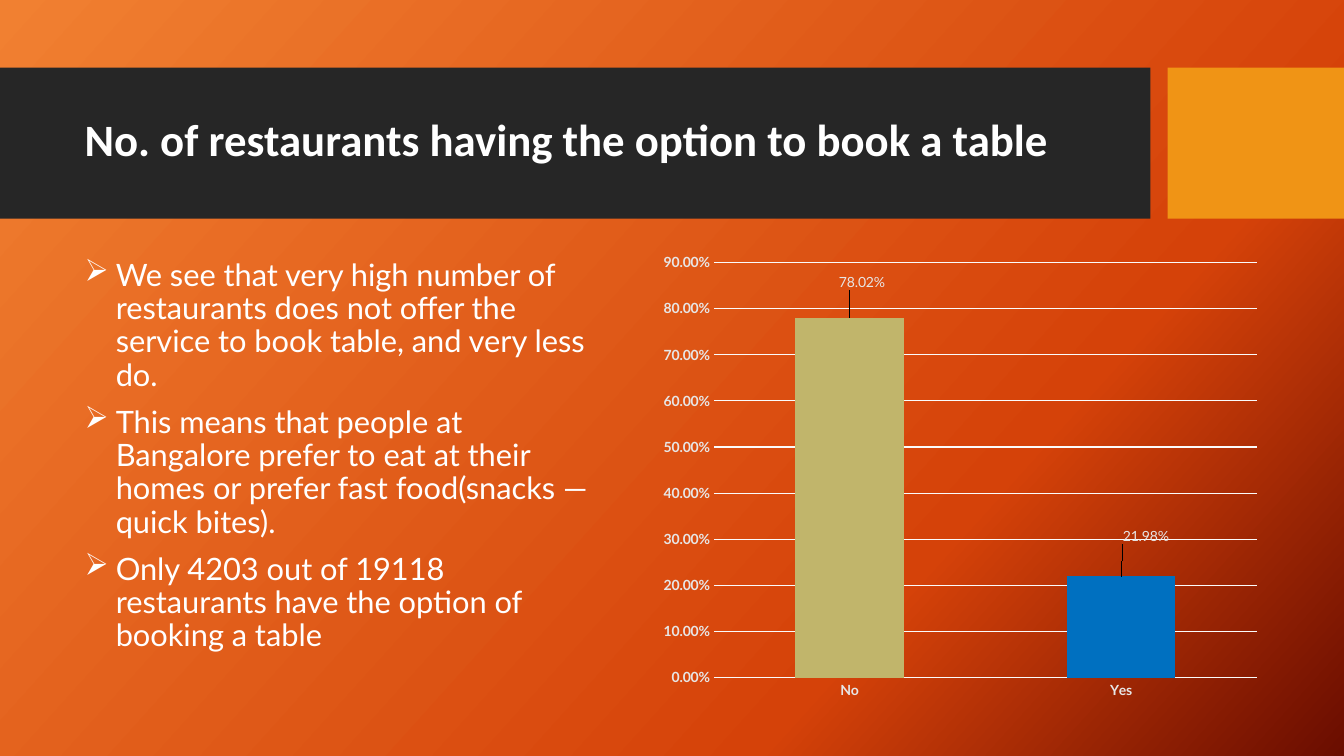
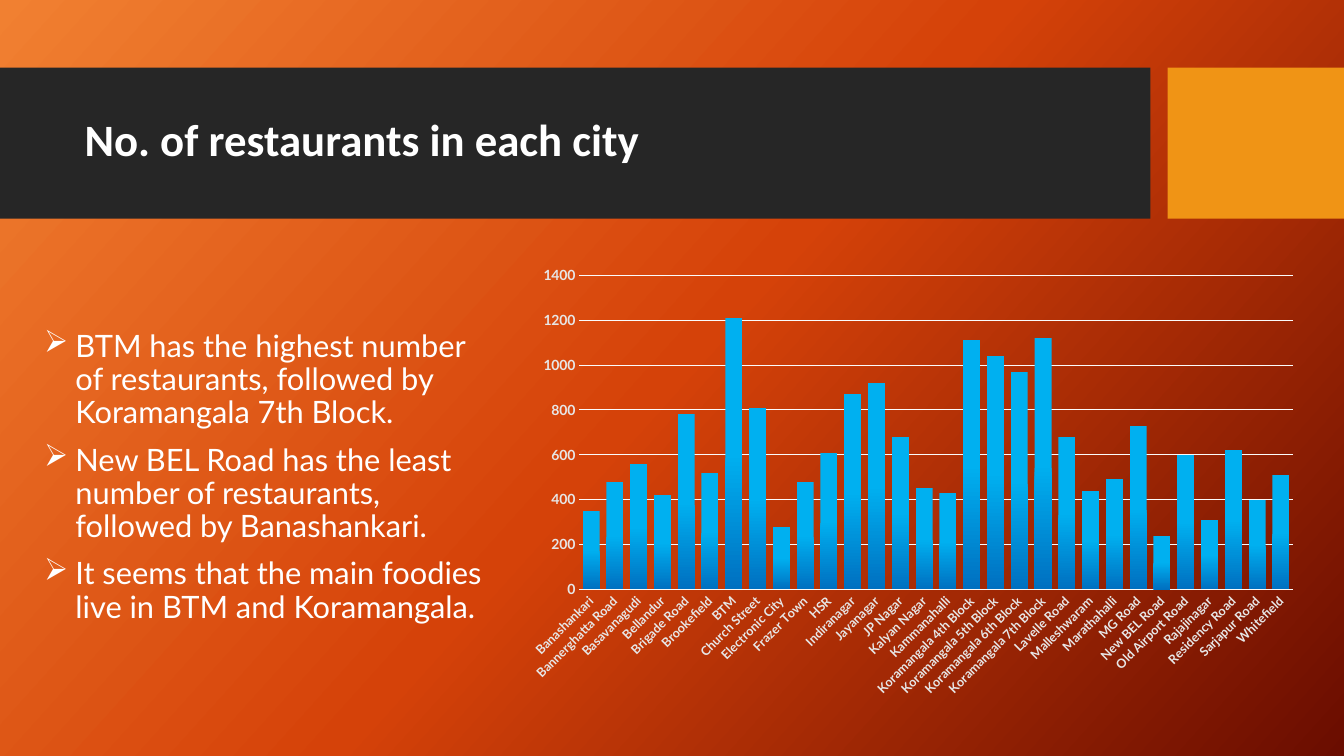
from pptx import Presentation
from pptx.chart.data import CategoryChartData
from pptx.dml.color import RGBColor
from pptx.enum.chart import XL_CHART_TYPE as ChartType, XL_LABEL_POSITION as LabelPos, XL_TICK_MARK as Tick
from pptx.enum.shapes import MSO_SHAPE as Shape
from pptx.enum.text import MSO_ANCHOR as Anchor
from pptx.oxml import parse_xml
from pptx.oxml.ns import nsdecls
from pptx.util import Inches, Pt

COLORS = {
    "band": "262626", "accent": "F09415", "text": "FFFFFF", "axis": "E7E6E6",
    "grid": "FBFBFB", "no": "C1B56B", "yes": "0070C0", "bar_light": "00B0F0",
    "bg_light": "F18031", "bg_mid": "D54209", "bg_dark": "6A0D00",
}
TITLE_FONT = {"name": "Calibri", "size": Pt(32), "bold": True}
BODY_FONT = {"name": "Lato", "size": Pt(22)}
CHART_FONT = {"name": "Lato", "size": Pt(10)}
AXIS_FONT = {**CHART_FONT, "bold": True}
LABEL_FONT = {**CHART_FONT, "bold": False}

BOOKING_POINTS = [
    "We see that very high number of restaurants does not offer the service to book table, and very less do.",
    "This means that people at Bangalore prefer to eat at their homes or prefer fast food(snacks — quick bites).",
    "Only 4203 out of 19118 restaurants have the option of booking a table",
]
BOOKING_SHARES = {"No": 0.7802, "Yes": 0.2198}
BOOKING_LABELS = [("no", 0.02, -0.05), ("yes", 0.04, -0.06)]

AREA_POINTS = [
    "BTM has the highest number of restaurants, followed by Koramangala 7th Block.",
    "New BEL Road has the least number of restaurants, followed by Banashankari.",
    "It seems that the main foodies live in BTM and Koramangala.",
]
AREA_COUNTS = {
    "Banashankari": 350, "Bannerghatta Road": 480, "Basavanagudi": 560,
    "Bellandur": 420, "Brigade Road": 780, "Brookefield": 520, "BTM": 1210,
    "Church Street": 810, "Electronic City": 280, "Frazer Town": 480,
    "HSR": 610, "Indiranagar": 870, "Jayanagar": 920, "JP Nagar": 680,
    "Kalyan Nagar": 450, "Kammanahalli": 430, "Koramangala 4th Block": 1110,
    "Koramangala 5th Block": 1040, "Koramangala 6th Block": 970,
    "Koramangala 7th Block": 1120, "Lavelle Road": 680, "Malleshwaram": 440,
    "Marathahalli": 490, "MG Road": 730, "New BEL Road": 240,
    "Old Airport Road": 600, "Rajajinagar": 310, "Residency Road": 620,
    "Sarjapur Road": 400, "Whitefield": 510,
}


def rgb(key):
    """Return the named colour."""
    return RGBColor.from_string(COLORS[key])


def box(*lengths):
    """Turn left, top, width and height in inches into lengths."""
    return [Inches(length) for length in lengths]


def set_font(font, values, color):
    """Apply format values and a named colour to a font."""
    for attribute, value in values.items():
        setattr(font, attribute, value)
    font.color.rgb = rgb(color)


def set_gradient(fill, owner, stops, angle):
    """Give the fill held by the owner element a linear gradient."""
    fill.solid()
    solid = owner.find(".//{*}solidFill")
    stop_xml = "".join(
        f'<a:gs pos="{percent * 1000}"><a:srgbClr val="{COLORS[key]}"/></a:gs>'
        for percent, key in stops
    )
    gradient = parse_xml(
        f'<a:gradFill {nsdecls("a")} rotWithShape="1"><a:gsLst>{stop_xml}</a:gsLst>'
        f'<a:lin ang="{angle * 60000}" scaled="0"/></a:gradFill>'
    )
    solid.getparent().replace(solid, gradient)


def add_band(slide, place, color):
    """Add a plain filled rectangle."""
    band = slide.shapes.add_shape(Shape.RECTANGLE, *box(*place))
    band.shadow.inherit = False
    band.fill.solid()
    band.fill.fore_color.rgb = rgb(color)
    band.line.fill.background()


def add_text(slide, place, lines, font, color="text"):
    """Add a vertically centred text box and return its paragraphs."""
    frame = slide.shapes.add_textbox(*box(*place)).text_frame
    frame.word_wrap = True
    frame.vertical_anchor = Anchor.MIDDLE
    for index, line in enumerate(lines):
        paragraph = frame.add_paragraph() if index else frame.paragraphs[0]
        paragraph.line_spacing = 0.9
        if index:
            paragraph.space_before = Pt(10)
        run = paragraph.add_run()
        run.text = line
        set_font(run.font, font, color)
    return frame.paragraphs


def add_bullets(slide, place, points):
    """Add the arrow-bulleted findings."""
    for paragraph in add_text(slide, place, points, BODY_FONT):
        properties = paragraph._p.get_or_add_pPr()
        properties.set("marL", str(Inches(0.31)))
        properties.set("indent", str(-Inches(0.31)))
        properties.append(parse_xml(f'<a:buChar {nsdecls("a")} char="➢"/>'))


def add_titled_slide(deck, title, middle_stop):
    """Add a slide with the shared background, bands and title."""
    slide = deck.slides.add_slide(deck.slide_layouts[6])
    stops = [(0, "bg_light"), (middle_stop, "bg_mid"), (100, "bg_dark")]
    set_gradient(slide.background.fill, slide.element, stops, 42)
    add_band(slide, (0, 0.67, 11.41, 1.5), "band")
    add_band(slide, (11.58, 0.67, 1.75, 1.5), "accent")
    add_text(slide, (0.74, 0.82, 10.51, 1.18), [title], TITLE_FONT)
    return slide


def set_grid_line(line):
    """Draw a thin light chart line."""
    line.width = Pt(0.75)
    line.color.rgb = rgb("grid")


def add_columns(slide, place, data, number_format, gap, top, step):
    """Add a single-series column chart and return it."""
    chart_data = CategoryChartData(number_format=number_format)
    chart_data.categories = list(data)
    chart_data.add_series("Series 1", list(data.values()))
    chart = slide.shapes.add_chart(ChartType.COLUMN_CLUSTERED, *box(*place), chart_data).chart
    set_font(chart.font, CHART_FONT, "text")
    chart.has_title = chart.has_legend = False
    chart.plots[0].gap_width = gap
    chart.plots[0].vary_by_categories = False

    categories, values = chart.category_axis, chart.value_axis
    for axis in (categories, values):
        axis.major_tick_mark = axis.minor_tick_mark = Tick.NONE
        set_font(axis.tick_labels.font, AXIS_FONT, "axis")
    set_grid_line(categories.format.line)
    set_grid_line(values.major_gridlines.format.line)
    values.format.line.fill.background()
    values.tick_labels.number_format = number_format
    values.tick_labels.number_format_is_linked = False
    scale = {"minimum_scale": 0, "maximum_scale": top, "major_unit": step}
    for attribute, value in scale.items():
        setattr(values, attribute, value)
    return chart


def style_point(point, color, shift_x, shift_y):
    """Colour a column and place its value label."""
    point.format.fill.solid()
    point.format.fill.fore_color.rgb = rgb(color)
    label = point.data_label
    set_font(label.font, LABEL_FONT, "axis")
    label.position = LabelPos.OUTSIDE_END
    label._get_or_add_dLbl().insert(1, parse_xml(
        f'<c:layout {nsdecls("c")}><c:manualLayout><c:x val="{shift_x}"/>'
        f'<c:y val="{shift_y}"/></c:manualLayout></c:layout>'
    ))


def build_booking_slide(deck):
    """Build the slide on table booking."""
    slide = add_titled_slide(deck, "No. of restaurants having the option to book a table", 71)
    chart = add_columns(slide, (6.46, 2.43, 6.13, 4.59), BOOKING_SHARES, "0.00%", 150, 0.9, 0.1)
    for index, label in enumerate(BOOKING_LABELS):
        style_point(chart.series[0].points[index], *label)
    add_bullets(slide, (0.74, 2.56, 5.33, 3.94), BOOKING_POINTS)


def build_area_slide(deck):
    """Build the slide on restaurants by area."""
    slide = add_titled_slide(deck, "No. of restaurants in each city", 50)
    chart = add_columns(slide, (5.12, 2.56, 7.86, 4.44), AREA_COUNTS, "General", 40, 1400, 200)
    counts = chart.series[0]
    set_gradient(counts.format.fill, counts._element, [(50, "bar_light"), (100, "yes")], 90)
    area_labels = chart.category_axis.tick_labels
    area_labels.font.size = Pt(9)
    chart.category_axis._element.find("{*}txPr/{*}bodyPr").set("rot", str(-45 * 60000))
    add_bullets(slide, (0.34, 2.56, 4.55, 4.36), AREA_POINTS)


def main():
    """Build and save the deck."""
    deck = Presentation()
    deck.slide_width, deck.slide_height = Inches(13.33), Inches(7.5)
    build_booking_slide(deck)
    build_area_slide(deck)
    deck.save("out.pptx")


if __name__ == "__main__":
    main()
